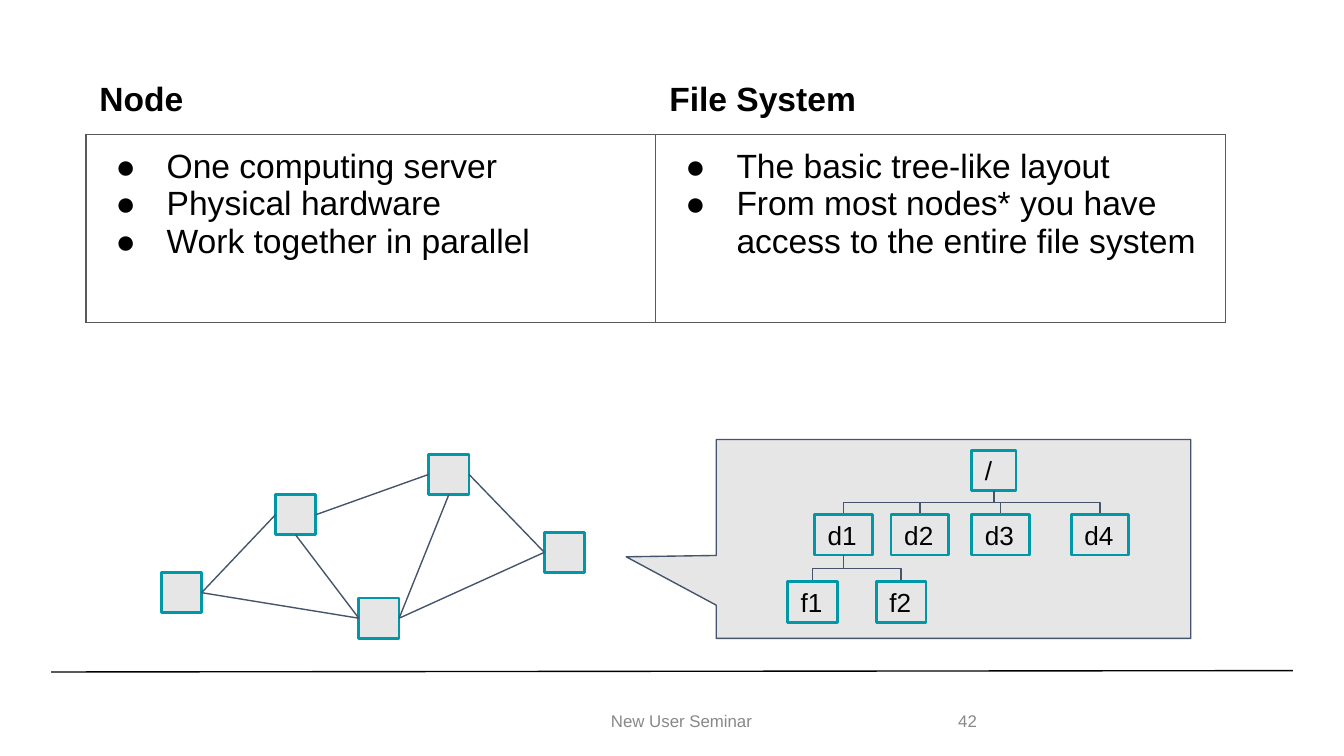
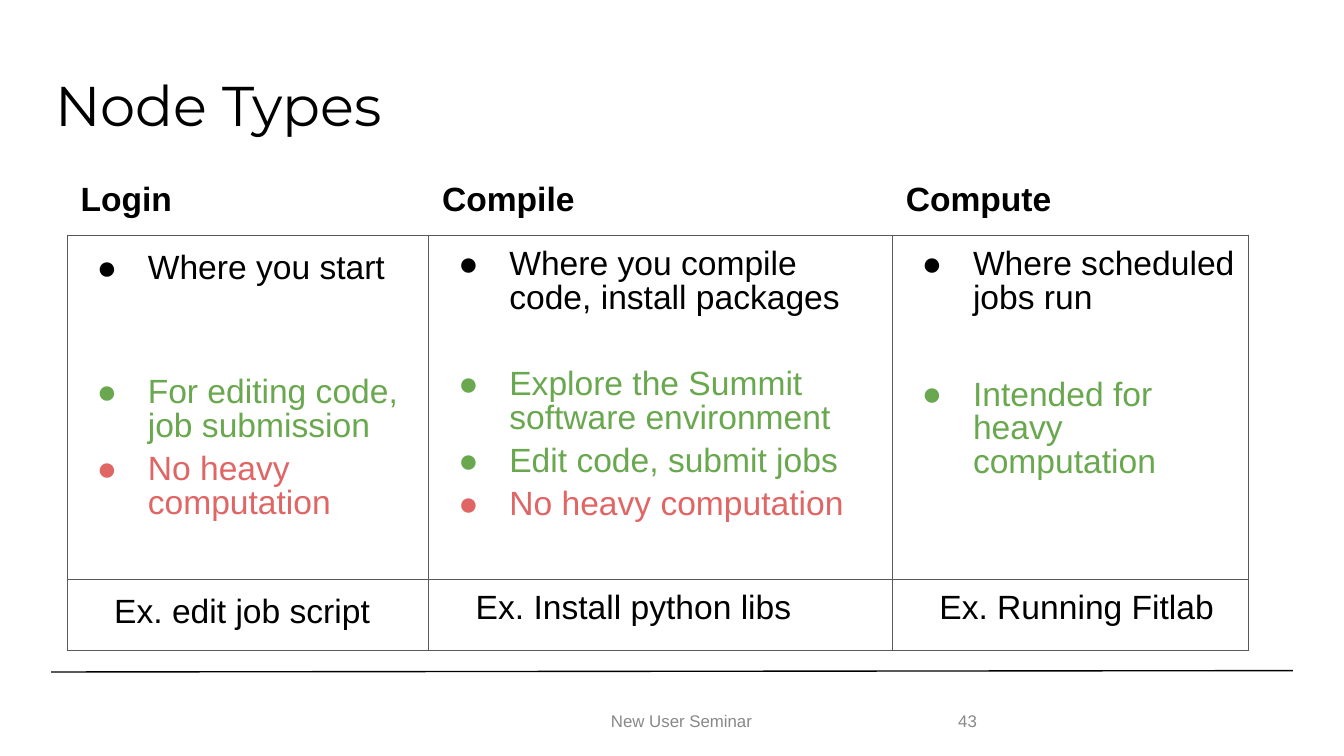
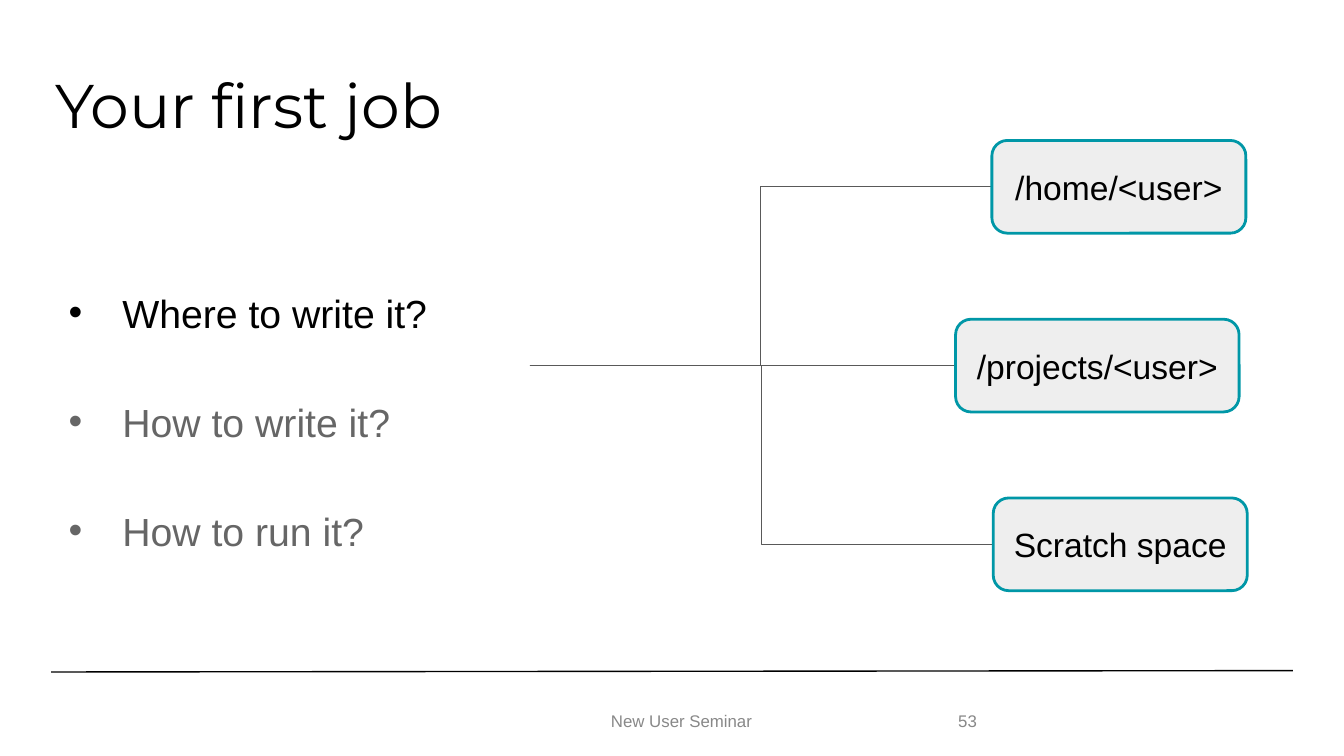
from lxml import etree
from pptx import Presentation
from pptx.dml.color import RGBColor
from pptx.enum.shapes import MSO_CONNECTOR, MSO_SHAPE
from pptx.enum.text import MSO_ANCHOR, PP_ALIGN
from pptx.oxml.ns import qn
from pptx.util import Inches, Pt

STRAIGHT, ELBOW = MSO_CONNECTOR.STRAIGHT, MSO_CONNECTOR.ELBOW
RECT, ROUND_RECT = MSO_SHAPE.RECTANGLE, MSO_SHAPE.ROUNDED_RECTANGLE
CALLOUT = MSO_SHAPE.ROUNDED_RECTANGULAR_CALLOUT
TOP, MIDDLE = MSO_ANCHOR.TOP, MSO_ANCHOR.MIDDLE
LEFT, CENTER = PP_ALIGN.LEFT, PP_ALIGN.CENTER
SIDE_LEFT, SIDE_BOTTOM, SIDE_RIGHT = 1, 2, 3

BLACK = RGBColor(0x00, 0x00, 0x00)
WHITE = RGBColor(0xFF, 0xFF, 0xFF)
GREEN = RGBColor(0x6A, 0xA8, 0x4F)
RED = RGBColor(0xE0, 0x66, 0x66)
DIM = RGBColor(0x66, 0x66, 0x66)
FOOTER_GREY = RGBColor(0x88, 0x88, 0x88)
RULE_GREY = RGBColor(0x59, 0x59, 0x59)
SLATE = RGBColor(0x44, 0x54, 0x6A)
TEAL = RGBColor(0x00, 0x97, 0xA7)
BOX_GREY = RGBColor(0xE7, 0xE6, 0xE6)
PATH_GREY = RGBColor(0xEE, 0xEE, 0xEE)

FONT = "Arial"
TITLE_FONT = "Montserrat"
FOOTER = "New User Seminar"
PLACEHOLDER_INSET = (0.07, 0.04)
SHAPE_INSET = (0.1, 0.1)

DOT = {"bullet": "●", "indent": (0.5, -0.38)}
EXAMPLE = {"indent": (0.5, -0.25)}
TIGHT = {"spacing": 0.9}
DO = {**DOT, **TIGHT, "color": GREEN}
AVOID = {**DOT, **TIGHT, "color": RED, "before": 5}

CONCEPTS = {
    "at": (0.64, 0.5), "cols": [4.24, 4.24], "rows": [0.49, 1.4],
    "header": ["Node", "File System"],
    "body": [[
        [("One computing server", DOT), ("Physical hardware", DOT),
         ("Work together in parallel", DOT)],
        [("The basic tree-like layout", DOT),
         ("From most nodes* you have access to the entire file system", DOT)],
    ]],
}
NODE_TYPES = {
    "at": (0.5, 1.25), "cols": [2.69, 3.45, 2.65], "rows": [0.5, 2.56, 0.53],
    "header": ["Login", "Compile", "Compute"],
    "body": [
        [
            [("Where you start", DOT),
             ("For editing code, job submission", {**DO, "before": 48.5}),
             ("No heavy computation", AVOID)],
            [("Where you compile code, install packages", {**DOT, **TIGHT}),
             ("Explore the Summit software environment", {**DO, "before": 28}),
             ("Edit code, submit jobs", {**DO, "before": 5}),
             ("No heavy computation", AVOID)],
            [("Where scheduled jobs run", {**DOT, **TIGHT}),
             ("Intended for heavy computation", {**DO, "before": 33.5})],
        ],
        [
            [("Ex. edit job script", EXAMPLE)],
            [("Ex. Install python libs", {**EXAMPLE, **TIGHT})],
            [("Ex. Running Fitlab", {**EXAMPLE, **TIGHT})],
        ],
    ],
}

SERVER_SIZE = 0.3
SERVERS = {"a": (1.2, 4.26), "b": (2.05, 3.68), "c": (3.19, 3.38),
           "d": (2.67, 4.45), "e": (4.05, 3.96)}
NETWORK = [
    ("a", SIDE_RIGHT, "b", SIDE_LEFT), ("a", SIDE_RIGHT, "d", SIDE_LEFT),
    ("b", SIDE_BOTTOM, "d", SIDE_LEFT), ("b", SIDE_RIGHT, "c", SIDE_LEFT),
    ("c", SIDE_BOTTOM, "d", SIDE_RIGHT), ("c", SIDE_RIGHT, "e", SIDE_LEFT),
    ("d", SIDE_RIGHT, "e", SIDE_LEFT),
]

TREE_HEIGHT = 0.3
TREE = {
    "/": (7.23, 3.35, 0.33, None),
    "d1": (6.06, 3.83, 0.43, "/"), "d2": (6.63, 3.83, 0.43, "/"),
    "d3": (7.23, 3.83, 0.43, "/"), "d4": (7.97, 3.83, 0.43, "/"),
    "f1": (5.86, 4.33, 0.37, "d1"), "f2": (6.52, 4.33, 0.37, "d1"),
}

QUESTIONS = [("Where to write it?", BLACK), ("How to write it?", DIM),
             ("How to run it?", DIM)]
FORK = (3.94, 2.72)
LOCATION_HEIGHT = 0.69
LOCATION_STEP = 1.33
LOCATIONS = [("/home/<user>", 7.38, 1.89), ("/projects/<user>", 7.11, 2.11),
             ("Scratch space", 7.39, 1.89)]


def inches(*values):
    return [Inches(v) for v in values]


def set_bullet(p, char, color):
    pPr = p._p.get_or_add_pPr()
    clr = etree.SubElement(pPr, qn("a:buClr"))
    etree.SubElement(clr, qn("a:srgbClr"), val=str(color))
    etree.SubElement(pPr, qn("a:buFont"), typeface=FONT)
    etree.SubElement(pPr, qn("a:buChar"), char=char)


def write(tf, paragraphs, **defaults):
    for i, (text, options) in enumerate(paragraphs):
        f = {"size": 18, "font": FONT, "color": BLACK, "bold": False,
             "align": LEFT, **defaults, **options}
        p = tf.paragraphs[0] if i == 0 else tf.add_paragraph()
        if "indent" in f:
            pPr = p._p.get_or_add_pPr()
            margin, first = inches(*f["indent"])
            pPr.set("marL", str(margin))
            pPr.set("indent", str(first))
        if "bullet" in f:
            set_bullet(p, f["bullet"], f["color"])
        p.alignment = f["align"]
        if "spacing" in f:
            p.line_spacing = f["spacing"]
        if i and "before" in f:
            p.space_before = Pt(f["before"])
        r = p.add_run()
        r.text = text
        r.font.name, r.font.size, r.font.bold = f["font"], Pt(f["size"]), f["bold"]
        r.font.color.rgb = f["color"]


def frame(tf, inset, anchor):
    tf.word_wrap = True
    tf.vertical_anchor = anchor
    tf.margin_left = tf.margin_right = Inches(inset[0])
    tf.margin_top = tf.margin_bottom = Inches(inset[1])


def add_text(s, box, paragraphs, anchor=MIDDLE, **fmt):
    tf = s.shapes.add_textbox(*inches(*box)).text_frame
    frame(tf, PLACEHOLDER_INSET, anchor)
    write(tf, paragraphs, **fmt)


def add_box(s, kind, box, fill=BOX_GREY, line=TEAL, width=1.5, text=None, **fmt):
    sp = s.shapes.add_shape(kind, *inches(*box))
    sp.shadow.inherit = False
    sp.fill.solid()
    sp.fill.fore_color.rgb = fill
    sp.line.color.rgb = line
    sp.line.width = Pt(width)
    if text:
        frame(sp.text_frame, SHAPE_INSET, MIDDLE)
        write(sp.text_frame, [(text, {})], **fmt)
    return sp


def add_line(s, start=(0, 0), end=(0, 0), kind=STRAIGHT, color=SLATE):
    c = s.shapes.add_connector(kind, *inches(*start, *end))
    c.line.color.rgb = color
    c.line.width = Pt(0.75)
    etree.SubElement(c._element.spPr, qn("a:effectLst"))
    return c


def add_branch(s, parent, child):
    (px, py), (cx, cy) = parent, child
    mx, my = (px + cx) / 2, (py + cy) / 2
    half_x, half_y = (cx - px) / 2, (cy - py) / 2
    c = add_line(s, (mx - half_y, my + half_x), (mx + half_y, my - half_x), ELBOW)
    c._element.spPr.find(qn("a:xfrm")).set("rot", str(90 * 60000))


def set_borders(cell, colors):
    tcPr = cell._tc.get_or_add_tcPr()
    for side, color in zip("LRTB", colors):
        ln = etree.SubElement(tcPr, qn("a:ln" + side), w=str(Pt(0.75)))
        fill = etree.SubElement(ln, qn("a:solidFill"))
        etree.SubElement(fill, qn("a:srgbClr"), val=str(color))


def add_grid(s, at, cols, rows, header, body):
    table = s.shapes.add_table(len(rows), len(cols),
                               *inches(*at, sum(cols), sum(rows))).table
    table.first_row = table.horz_banding = False
    for column, width in zip(table.columns, cols):
        column.width = Inches(width)
    for row, height in zip(table.rows, rows):
        row.height = Inches(height)
    titles = [[(title, {"bold": True})] for title in header]
    for i, line in enumerate([titles] + body):
        edge = RULE_GREY if i else WHITE
        for j, paragraphs in enumerate(line):
            cell = table.cell(i, j)
            set_borders(cell, [edge, edge, edge, RULE_GREY])
            cell.fill.background()
            cell.vertical_anchor = TOP
            cell.margin_left = cell.margin_right = Inches(0.1)
            cell.margin_top = cell.margin_bottom = Inches(0.1)
            write(cell.text_frame, paragraphs)


def new_slide(prs, number, title=None, title_size=30):
    s = prs.slides.add_slide(prs.slide_layouts[6])
    add_line(s, (0.38, 5), (9.62, 4.99), color=BLACK)
    if title:
        add_text(s, (0.34, 0.49, 9.32, 0.63), [(title, {})],
                 font=TITLE_FONT, size=title_size, spacing=0.9)
    small = {"size": 9, "color": FOOTER_GREY}
    add_text(s, (3.38, 5.21, 3.38, 0.3), [(FOOTER, small)], align=CENTER)
    add_text(s, (7.06, 5.21, 0.56, 0.3), [(str(number), small)])
    return s


def concepts_slide(prs):
    s = new_slide(prs, 42)
    callout = add_box(s, CALLOUT, (5.33, 3.27, 3.53, 1.48), line=SLATE, width=0.75)
    for i, value in enumerate((-0.69, 0.09, 0)):
        callout.adjustments[i] = value
    add_grid(s, **CONCEPTS)

    servers = {name: add_box(s, RECT, (*at, SERVER_SIZE, SERVER_SIZE))
               for name, at in SERVERS.items()}
    for start, start_side, end, end_side in NETWORK:
        c = add_line(s)
        c.begin_connect(servers[start], start_side)
        c.end_connect(servers[end], end_side)

    for name, (x, y, w, parent) in TREE.items():
        if parent:
            px, py, pw, _ = TREE[parent]
            add_branch(s, (px + pw / 2, py + TREE_HEIGHT), (x + w / 2, y))
        add_box(s, RECT, (x, y, w, TREE_HEIGHT), text=name, size=14)


def node_types_slide(prs):
    s = new_slide(prs, 43, "Node Types")
    add_grid(s, **NODE_TYPES)


def first_job_slide(prs):
    s = new_slide(prs, 53, "Your first job", 33)
    add_text(s, (0.34, 1.76, 3.85, 2.92),
             [(question, {"color": color}) for question, color in QUESTIONS],
             anchor=TOP, size=21, bullet="•", indent=(0.5, -0.4), spacing=2, before=8)
    for i, (name, x, w) in enumerate(LOCATIONS):
        y = FORK[1] + (i - 1) * LOCATION_STEP
        straight = y == FORK[1]
        c = add_line(s, FORK, (x, y), STRAIGHT if straight else ELBOW, RULE_GREY)
        sp = add_box(s, ROUND_RECT, (x, y - LOCATION_HEIGHT / 2, w, LOCATION_HEIGHT),
                     fill=PATH_GREY, text=name, align=CENTER)
        if straight:
            c.end_connect(sp, SIDE_LEFT)


def main():
    prs = Presentation()
    prs.slide_width = Inches(10)
    prs.slide_height = prs.slide_width * 9 // 16
    concepts_slide(prs)
    node_types_slide(prs)
    first_job_slide(prs)
    prs.save("out.pptx")


if __name__ == "__main__":
    main()
